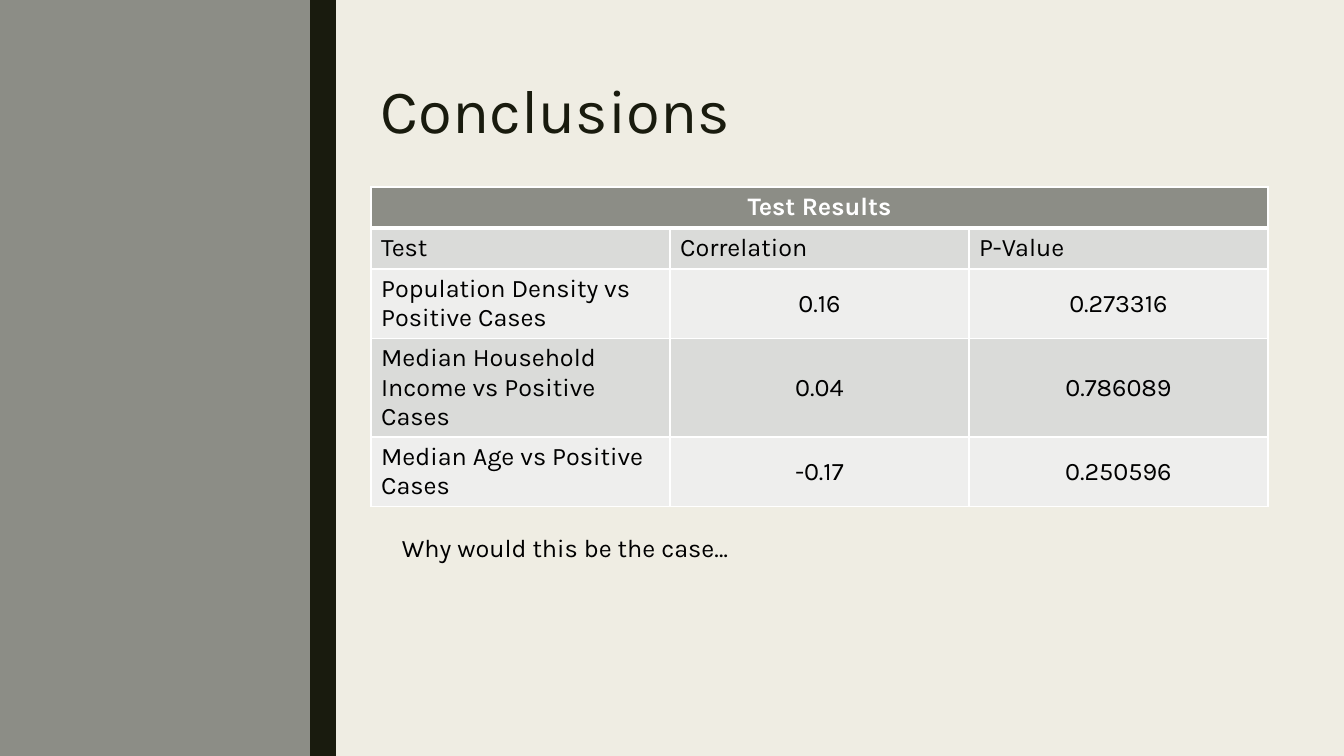
from lxml import etree
from pptx import Presentation
from pptx.dml.color import RGBColor
from pptx.enum import shapes, text
from pptx.oxml import ns
from pptx.util import Pt

# Content
TITLE = "Conclusions"
QUESTION = "Why would this be the case…"
TABLE_TITLE = "Test Results"
ROWS = [
    ("Test", "Correlation", "P-Value"),
    ("Population Density vs Positive Cases", "0.16", "0.273316"),
    ("Median Household Income vs Positive Cases", "0.04", "0.786089"),
    ("Median Age vs Positive Cases", "-0.17", "0.250596"),
]

# Look, lengths in px
PX = 914400 / 100.8
WIDTH, HEIGHT = 1344, 756
FONT = "Karla"
PAPER, GREY, DARK, WHITE, BLACK = "EFEDE3", "8C8D86", "191B0E", "FFFFFF", "000000"
BANDS = ("DADBD9", "EEEEED")
PANELS = [(0, 336, GREY), (310, 26, DARK)]
TABLE_LEFT, TABLE_TOP, COLUMN_WIDTH, ROW_HEIGHT = 371, 187, 299, 41
BODY = {"name": FONT, "size": Pt(18), "bold": False}
HEADER = {**BODY, "bold": True}
HEADLINE = {**BODY, "size": Pt(44)}


def px(*lengths):
    return [round(length * PX) for length in lengths]


def paint(fill, color):
    fill.solid()
    fill.fore_color.rgb = RGBColor.from_string(color)


def write(frame, words, style, color, align=text.PP_ALIGN.LEFT):
    para = frame.paragraphs[0]
    para.alignment = align
    span = para.add_run()
    span.text = words
    for name, value in style.items():
        setattr(span.font, name, value)
    span.font.color.rgb = RGBColor.from_string(color)
    return para


def add_text(page, area, words, style, color):
    box = page.shapes.add_textbox(*px(*area))
    box.text_frame.word_wrap = True
    return write(box.text_frame, words, style, color)


def add_borders(cell, bottom=1):
    properties = cell._tc.get_or_add_tcPr()
    sides = (("lnL", 1), ("lnR", 1), ("lnT", 1), ("lnB", bottom))
    for index, (side, points) in enumerate(sides):
        line = etree.Element(ns.qn("a:" + side), w=str(Pt(points)))
        fill = etree.SubElement(line, ns.qn("a:solidFill"))
        etree.SubElement(fill, ns.qn("a:srgbClr"), val=WHITE)
        properties.insert(index, line)


def fill_cell(cell, words, style, color, fill, centred):
    paint(cell.fill, fill)
    align = text.PP_ALIGN.LEFT
    if centred:
        align = text.PP_ALIGN.CENTER
        cell.vertical_anchor = text.MSO_ANCHOR.MIDDLE
    write(cell.text_frame, words, style, color, align)


def add_results(page):
    count, columns = len(ROWS) + 1, len(ROWS[0])
    area = px(TABLE_LEFT, TABLE_TOP, columns * COLUMN_WIDTH, count * ROW_HEIGHT)
    table = page.shapes.add_table(count, columns, *area).table

    # Header across all columns
    header = table.cell(0, 0)
    header.merge(table.cell(0, columns - 1))
    fill_cell(header, TABLE_TITLE, HEADER, WHITE, GREY, True)
    for column in range(columns):
        add_borders(table.cell(0, column), bottom=3)

    # Column names, then one row per test
    for row, values in enumerate(ROWS, 1):
        for column, words in enumerate(values):
            cell = table.cell(row, column)
            centred = row > 1 and column > 0
            fill_cell(cell, words, BODY, BLACK, BANDS[(row - 1) % 2], centred)
            add_borders(cell)


def main():
    deck = Presentation()
    deck.slide_width, deck.slide_height = px(WIDTH, HEIGHT)
    page = deck.slides.add_slide(deck.slide_layouts[6])
    paint(page.background.fill, PAPER)

    # Side panels
    for left, width, color in PANELS:
        panel = page.shapes.add_shape(
            shapes.MSO_SHAPE.RECTANGLE, *px(left, 0, width, HEIGHT))
        panel.shadow.inherit = False
        panel.line.fill.background()
        paint(panel.fill, color)

    # Table, title and closing question
    add_results(page)
    title = add_text(page, (371, 76, 850, 163), TITLE, HEADLINE, DARK)
    title.line_spacing = 0.89
    add_text(page, (392, 527, 829, 40), QUESTION, BODY, BLACK)
    deck.save("out.pptx")


if __name__ == "__main__":
    main()
